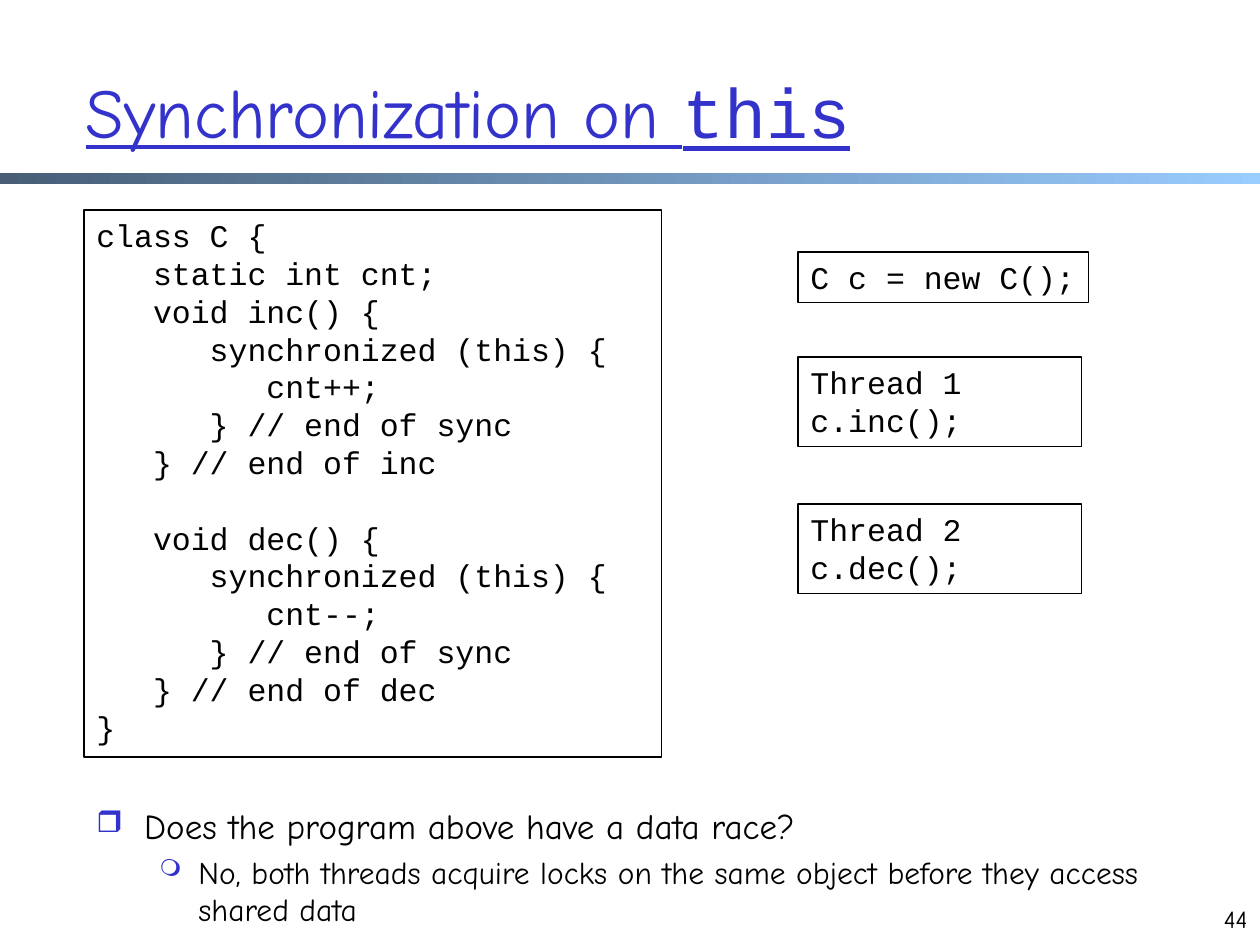
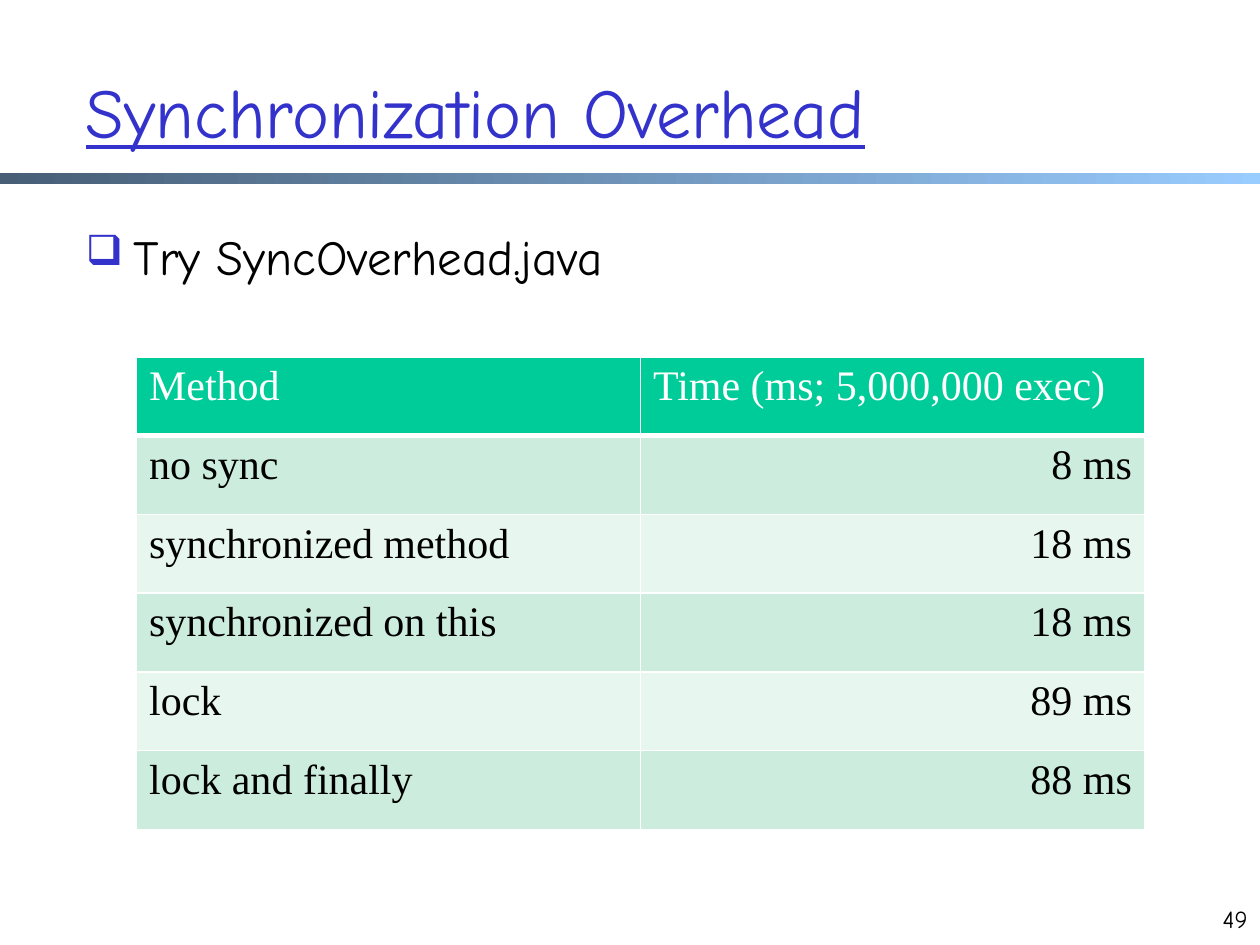
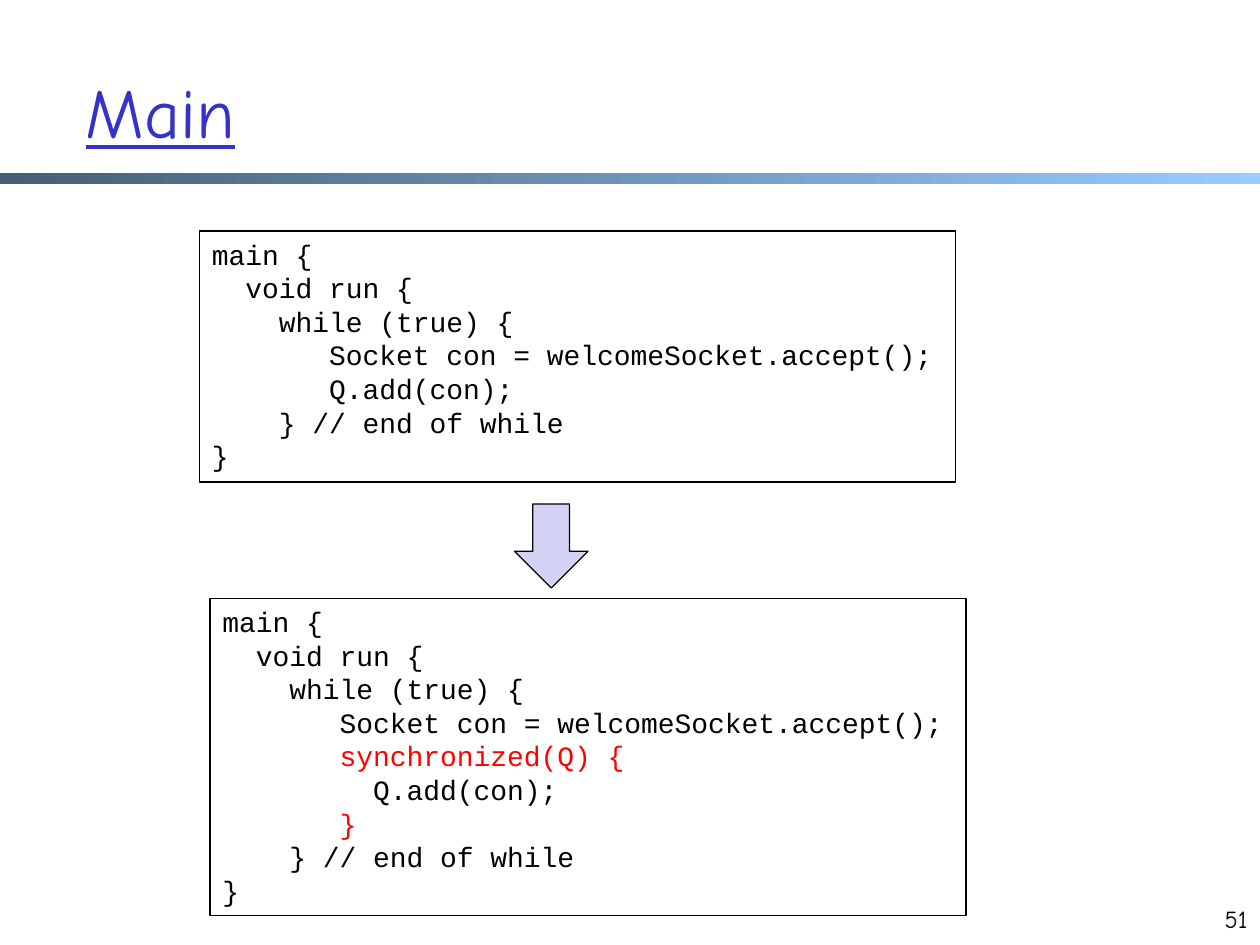
from dataclasses import dataclass

from lxml.etree import SubElement
from pptx import Presentation
from pptx.dml.color import RGBColor
from pptx.enum.shapes import MSO_SHAPE as Preset
from pptx.enum.text import MSO_ANCHOR as Anchor, PP_ALIGN as Align
from pptx.oxml.ns import qn
from pptx.util import Inches, Pt

BLACK = RGBColor(0x00, 0x00, 0x00)
WHITE = RGBColor(0xFF, 0xFF, 0xFF)
RED = RGBColor(0xFF, 0x00, 0x00)
INDIGO = RGBColor(0x33, 0x33, 0xCC)
LAVENDER = RGBColor(0xD2, 0xD2, 0xF4)
BAND_START = RGBColor(0x47, 0x5E, 0x76)
BAND_END = RGBColor(0x99, 0xCC, 0xFF)
HEADER_GREEN = RGBColor(0x00, 0xCC, 0x99)
ROW_GREENS = (RGBColor(0xCC, 0xEC, 0xDE), RGBColor(0xE7, 0xF6, 0xEF))

HAND = "Comic Neue"
MONO = "Courier New"
SERIF = "Times New Roman"

SLIDE_WIDTH, SLIDE_HEIGHT = Inches(10), Inches(7.5)
COLUMNS, ROWS = 120, 90
LINE_HEIGHT = 1.2


@dataclass(frozen=True)
class Area:
    """A rectangle in grid columns and rows."""
    column: float
    row: float
    width: float
    height: float

    def place(self) -> tuple[int, int, int, int]:
        across, down = SLIDE_WIDTH / COLUMNS, SLIDE_HEIGHT / ROWS
        return (round(self.column * across), round(self.row * down),
                round(self.width * across), round(self.height * down))


@dataclass(frozen=True)
class Span:
    text: str
    font: str = HAND


@dataclass(frozen=True)
class Bullet:
    text: str
    size: int
    symbol: str
    symbol_percent: int = 85
    margin: float = 0.38
    hanging: float = 0.38
    level: int = 0


@dataclass(frozen=True)
class Listing:
    """A framed piece of code; lines in red_lines are drawn red."""
    area: Area
    code: str
    size: int = 18
    wrap: bool = True
    red_lines: tuple[int, ...] = ()


BAND = Area(0, 16.5, 120, 1)
TITLE = Area(7, 3, 102, 15)
PAGE_NUMBER = Area(114, 85.5, 6, 4.5)

COUNTER_CODE = """class C {
   static int cnt;
   void inc() {
      synchronized (this) {
         cnt++;
      } // end of sync
   } // end of inc

   void dec() {
      synchronized (this) {
         cnt--;
      } // end of sync
   } // end of dec
}"""

UNSAFE_MAIN = """main {
  void run {
    while (true) {
       Socket con = welcomeSocket.accept();
       Q.add(con);
    } // end of while
}"""

SAFE_MAIN = """main {
  void run {
    while (true) {
       Socket con = welcomeSocket.accept();
       synchronized(Q) {
         Q.add(con);
       }
    } // end of while
}"""

TIMINGS = (
    ("Method", "Time (ms; 5,000,000 exec)"),
    ("no sync", "8 ms"),
    ("synchronized method", "18 ms"),
    ("synchronized on this", "18 ms"),
    ("lock", "89 ms"),
    ("lock and finally", "88 ms"),
)


def add_span(para, text: str, font: str, size: float, color: RGBColor, underline: bool = False):
    span = para.add_run()
    span.text = text
    span.font.name = font
    span.font.size = Pt(size)
    span.font.color.rgb = color
    if underline:
        span.font.underline = True


def add_box(page, area: Area, wrap: bool = True):
    box = page.shapes.add_textbox(*area.place())
    box.text_frame.word_wrap = wrap
    return box


def next_paragraph(frame, index: int):
    return frame.add_paragraph() if index else frame.paragraphs[0]


def outline(shape):
    shape.line.color.rgb = BLACK
    shape.line.width = Pt(0.75)


def add_page(deck, title: tuple[Span, ...], number: int):
    """Add a slide with the shared band, title and page number."""
    page = deck.slides.add_slide(deck.slide_layouts[6])
    band = page.shapes.add_shape(Preset.RECTANGLE, *BAND.place())
    band.shadow.inherit = False
    band.line.fill.background()
    band.fill.gradient()
    band.fill.gradient_angle = 0
    for stop, color in zip(band.fill.gradient_stops, (BAND_START, BAND_END)):
        stop.color.rgb = color

    heading = add_box(page, TITLE).text_frame
    heading.vertical_anchor = Anchor.MIDDLE
    for part in title:
        add_span(heading.paragraphs[0], part.text, part.font, 40, INDIGO, underline=True)

    para = add_box(page, PAGE_NUMBER).text_frame.paragraphs[0]
    para.alignment = Align.RIGHT
    add_span(para, str(number), HAND, 14, BLACK)
    return page


def set_bullet(para, bullet: Bullet):
    properties = para._p.get_or_add_pPr()
    properties.set("marL", str(Inches(bullet.margin)))
    properties.set("indent", str(-Inches(bullet.hanging)))
    color = SubElement(properties, qn("a:buClr"))
    SubElement(color, qn("a:srgbClr"), val=str(INDIGO))
    SubElement(properties, qn("a:buSzPct"), val=str(bullet.symbol_percent * 1000))
    SubElement(properties, qn("a:buChar"), char=bullet.symbol)


def add_bullets(page, area: Area, bullets: tuple[Bullet, ...]):
    frame = add_box(page, area).text_frame
    for index, bullet in enumerate(bullets):
        para = next_paragraph(frame, index)
        set_bullet(para, bullet)
        para.level = bullet.level
        if index:
            para.space_before = Pt(bullet.size * 0.2)
        add_span(para, bullet.text, HAND, bullet.size, BLACK)


def add_listing(page, listing: Listing):
    """Draw one paragraph a line; an empty line becomes space before the next."""
    box = add_box(page, listing.area, listing.wrap)
    outline(box)
    lines = listing.code.split("\n")
    for index, line in enumerate(lines):
        if not line:
            continue
        para = next_paragraph(box.text_frame, index)
        if index and not lines[index - 1]:
            para.space_before = Pt(listing.size * LINE_HEIGHT)
        color = RED if index in listing.red_lines else BLACK
        add_span(para, line, MONO, listing.size, color)


def set_borders(cell, top: int, bottom: int):
    properties = cell._tc.get_or_add_tcPr()
    sides = (("a:lnL", 1), ("a:lnR", 1), ("a:lnT", top), ("a:lnB", bottom))
    for position, (side, width) in enumerate(sides):
        border = properties.makeelement(qn(side), {"w": str(Pt(width))})
        fill = SubElement(border, qn("a:solidFill"))
        SubElement(fill, qn("a:srgbClr"), val=str(WHITE))
        properties.insert(position, border)


def add_timing_table(page, area: Area):
    table = page.shapes.add_table(len(TIMINGS), len(TIMINGS[0]), *area.place()).table
    for row, values in enumerate(TIMINGS):
        header = row == 0
        for column, value in enumerate(values):
            cell = table.cell(row, column)
            cell.fill.solid()
            cell.fill.fore_color.rgb = HEADER_GREEN if header else ROW_GREENS[(row - 1) % 2]
            set_borders(cell, top=3 if row == 1 else 1, bottom=3 if header else 1)
            para = cell.text_frame.paragraphs[0]
            para.alignment = Align.RIGHT if column and not header else Align.LEFT
            add_span(para, value, SERIF, 24, WHITE if header else BLACK)


def add_down_arrow(page, area: Area):
    arrow = page.shapes.add_shape(Preset.DOWN_ARROW, *area.place())
    arrow.shadow.inherit = False
    arrow.fill.solid()
    arrow.fill.fore_color.rgb = LAVENDER
    outline(arrow)


def build_this_page(deck):
    page = add_page(deck, (Span("Synchronization on "), Span("this", MONO)), 44)
    add_bullets(page, Area(8, 76, 102, 14), (
        Bullet("Does the program above have a data race?", 20, "❒"),
        Bullet("No, both threads acquire locks on the same object before they access shared data",
               18, "❍", symbol_percent=75, margin=0.81, hanging=0.31, level=1),
    ))
    add_listing(page, Listing(Area(8, 20, 55, 52.1), COUNTER_CODE))
    add_listing(page, Listing(Area(76, 24, 27.7, 4.8), "C c = new C();", wrap=False))
    for row, code in ((34, "Thread 1\nc.inc();"), (48, "Thread 2\nc.dec();")):
        add_listing(page, Listing(Area(76, row, 27, 8.5), code))


def build_overhead_page(deck):
    page = add_page(deck, (Span("Synchronization Overhead"),), 49)
    add_bullets(page, Area(7, 21, 102, 61), (Bullet("Try SyncOverhead.java", 28, "❑"),))
    add_timing_table(page, Area(13, 34, 96, 45))


def build_main_page(deck):
    page = add_page(deck, (Span("Main"),), 51)
    add_listing(page, Listing(Area(20, 57, 72, 30.2), SAFE_MAIN, size=16, red_lines=(4, 6)))
    add_listing(page, Listing(Area(19, 22, 72, 23.9), UNSAFE_MAIN, size=16))
    add_down_arrow(page, Area(49, 48, 7, 8))


def main():
    deck = Presentation()
    deck.slide_width, deck.slide_height = SLIDE_WIDTH, SLIDE_HEIGHT
    build_this_page(deck)
    build_overhead_page(deck)
    build_main_page(deck)
    deck.save("out.pptx")


if __name__ == "__main__":
    main()
